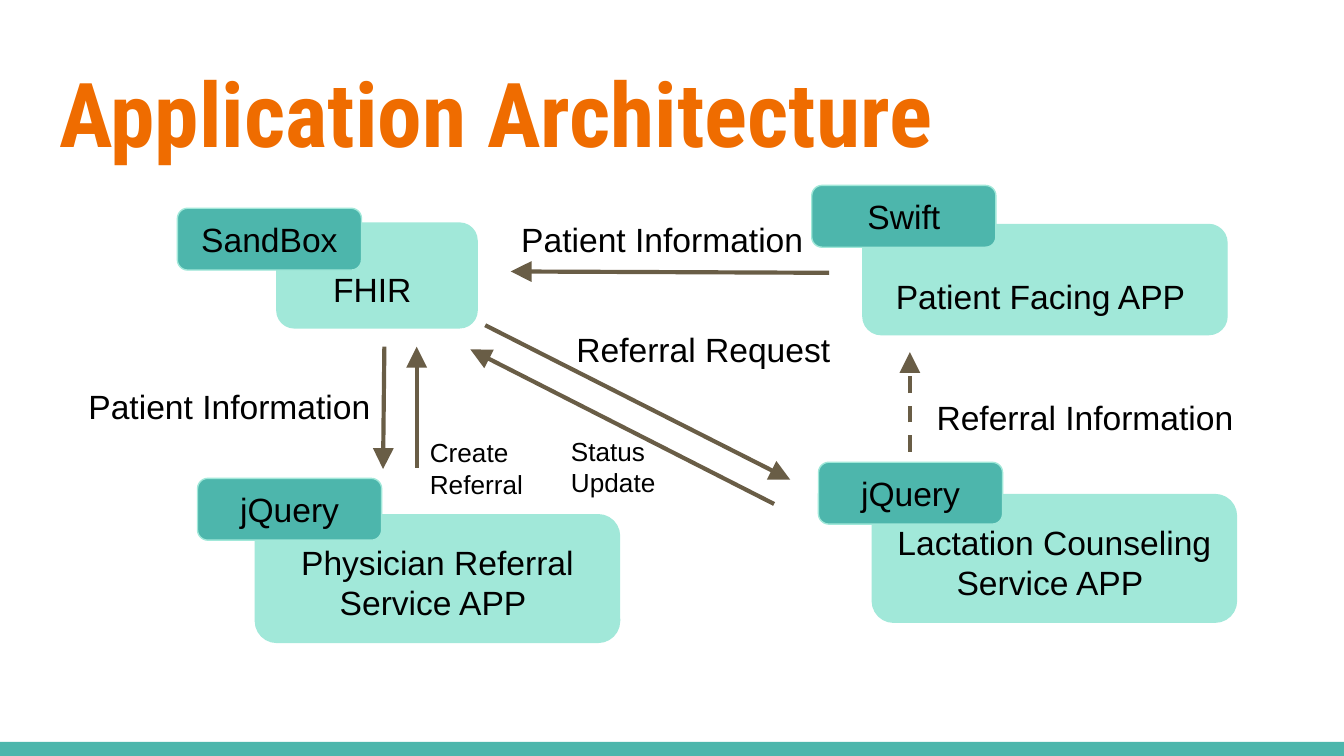
from lxml import etree
from pptx import Presentation
from pptx import util as u
from pptx.dml.color import RGBColor
from pptx.enum import dml, shapes, text
from pptx.oxml import ns

TEAL = RGBColor(0x4D, 0xB6, 0xAC)
MINT = RGBColor(0xA1, 0xE8, 0xD9)
ORANGE = RGBColor(0xEF, 0x6C, 0x00)
BROWN = RGBColor(0x69, 0x5D, 0x46)
BLACK = RGBColor(0, 0, 0)

BADGE_SIZE = (1.37, 0.46)
COMPONENTS = [
    ("Physician Referral Service APP ", (1.9, 3.83, 2.71, 0.95), "jQuery", (1.47, 3.56)),
    ("Patient Facing APP ", (6.42, 1.67, 2.71, 0.82), "Swift", (6.04, 1.38)),
    ("Lactation Counseling Service APP ", (6.49, 3.68, 2.71, 0.95), "jQuery", (6.09, 3.44)),
    ("FHIR ", (2.06, 1.66, 1.49, 0.78), "SandBox", (1.32, 1.55)),
]
ARROWS = [
    ((2.86, 2.58), (2.85, 3.49), False),
    ((3.1, 3.48), (3.1, 2.58), False),
    ((5.76, 3.75), (3.5, 2.6), False),
    ((3.61, 2.42), (5.88, 3.57), False),
    ((6.17, 2.03), (3.8, 2.02), False),
    ((6.77, 3.36), (6.77, 2.62), True),
]
LABELS = [
    (["Patient Information"], (0.56, 2.77, 2.37), 18),
    (["Create Referral"], (3.1, 3.15, 1.04), 14),
    (["Referral Request"], (4.19, 2.35, 2.21), 18),
    (["Referral Information"], (6.87, 2.85, 2.41), 18),
    (["Patient Information"], (3.78, 1.53, 2.41), 18),
    (["Status ", "Update"], (4.15, 3.14, 1.04), 14),
]


def inches(values):
    return [u.Inches(value) for value in values]


def write_text(shape, lines, size, color=BLACK, font_name="Arial", bold=False,
               align=text.PP_ALIGN.LEFT, anchor=text.MSO_ANCHOR.TOP):
    frame = shape.text_frame
    frame.word_wrap = True
    frame.auto_size = text.MSO_AUTO_SIZE.NONE
    frame.vertical_anchor = anchor
    frame.margin_left = frame.margin_right = u.Inches(0.1)
    frame.margin_top = frame.margin_bottom = u.Inches(0.1)
    for index, line in enumerate(lines):
        paragraph = frame.add_paragraph() if index else frame.paragraphs[0]
        paragraph.alignment = align
        run = paragraph.add_run()
        run.text = line
        run.font.size = u.Pt(size)
        run.font.name = font_name
        run.font.bold = bold
        run.font.color.rgb = color


def add_title(slide, title_text):
    title = slide.shapes.title
    title.left, title.top, title.width, title.height = inches((0.34, 0.33, 9.32, 0.77))
    write_text(title, [title_text], 48, ORANGE, "Roboto Condensed", True)


def add_footer_bar(slide):
    bar = slide.shapes.add_shape(shapes.MSO_SHAPE.RECTANGLE, *inches((0, 5.52, 10, 0.11)))
    bar.shadow.inherit = False
    bar.fill.solid()
    bar.fill.fore_color.rgb = TEAL
    bar.line.fill.background()


def add_rounded_box(slide, caption, bounds, fill, anchor):
    box = slide.shapes.add_shape(shapes.MSO_SHAPE.ROUNDED_RECTANGLE, *inches(bounds))
    box.shadow.inherit = False
    box.fill.solid()
    box.fill.fore_color.rgb = fill
    box.line.color.rgb = MINT
    box.line.width = u.Pt(0.75)
    write_text(box, [caption], 18, align=text.PP_ALIGN.CENTER, anchor=anchor)


def add_component(slide, name, bounds, technology, badge_position):
    add_rounded_box(slide, name, bounds, MINT, text.MSO_ANCHOR.BOTTOM)
    add_rounded_box(slide, technology, badge_position + BADGE_SIZE, TEAL, text.MSO_ANCHOR.MIDDLE)


def add_arrow(slide, start, end, dashed):
    arrow = slide.shapes.add_connector(shapes.MSO_CONNECTOR.STRAIGHT, *inches(start + end))
    arrow.line.color.rgb = BROWN
    arrow.line.width = u.Pt(2.25)
    if dashed:
        arrow.line.dash_style = dml.MSO_LINE.DASH
    properties = arrow._element.spPr
    outline = properties.find(ns.qn("a:ln"))
    etree.SubElement(outline, ns.qn("a:tailEnd"), type="triangle", w="lg", len="lg")
    etree.SubElement(properties, ns.qn("a:effectLst"))


def add_label(slide, lines, place, size):
    label = slide.shapes.add_textbox(*inches(place + (0.46,)))
    write_text(label, lines, size)


def main():
    presentation = Presentation()
    presentation.slide_width = u.Inches(10)
    presentation.slide_height = u.Inches(10) * 9 // 16
    slide = presentation.slides.add_slide(presentation.slide_layouts[5])
    add_footer_bar(slide)
    add_title(slide, "Application Architecture ")
    for component in COMPONENTS:
        add_component(slide, *component)
    for arrow in ARROWS:
        add_arrow(slide, *arrow)
    for label in LABELS:
        add_label(slide, *label)
    presentation.save("out.pptx")


main()
